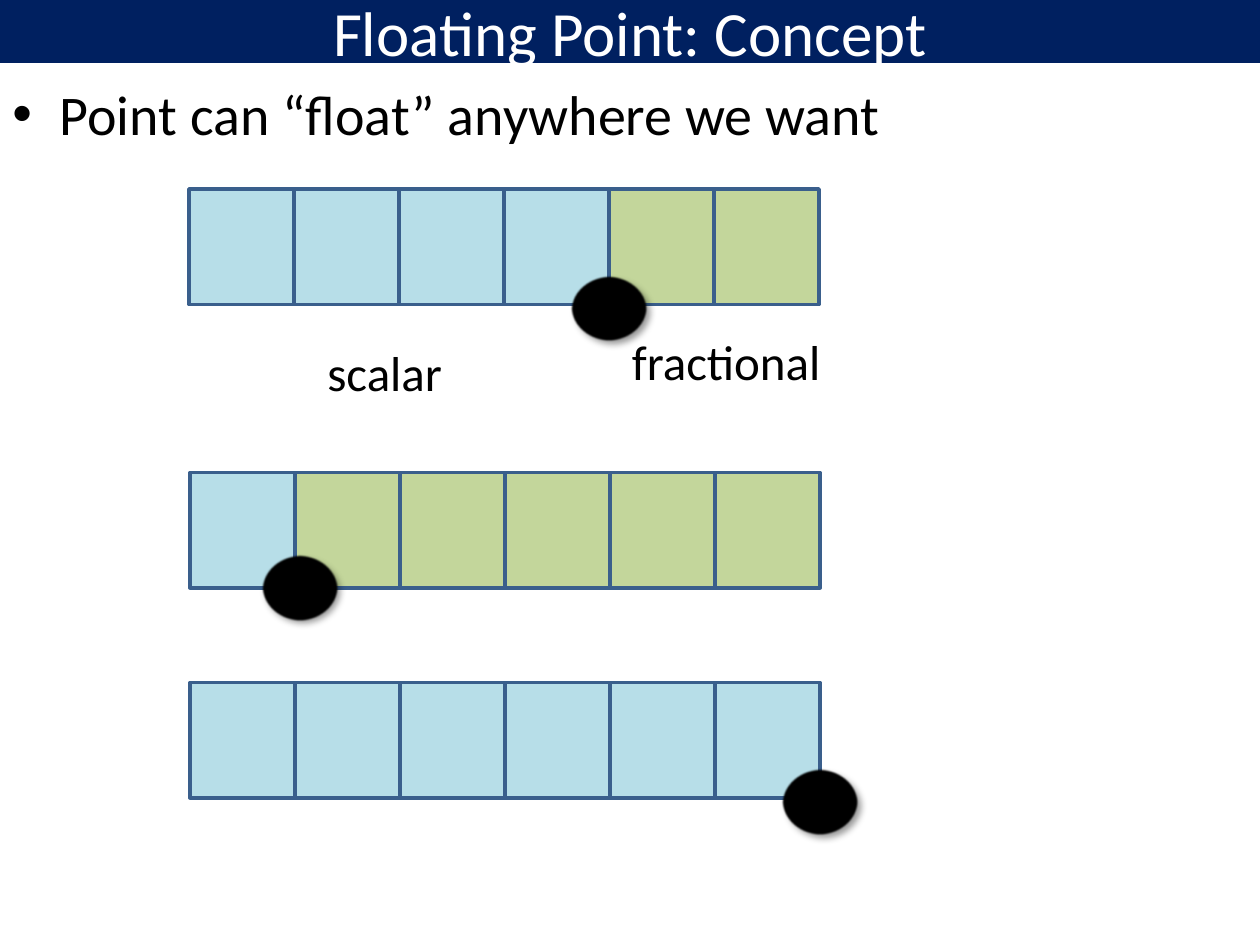
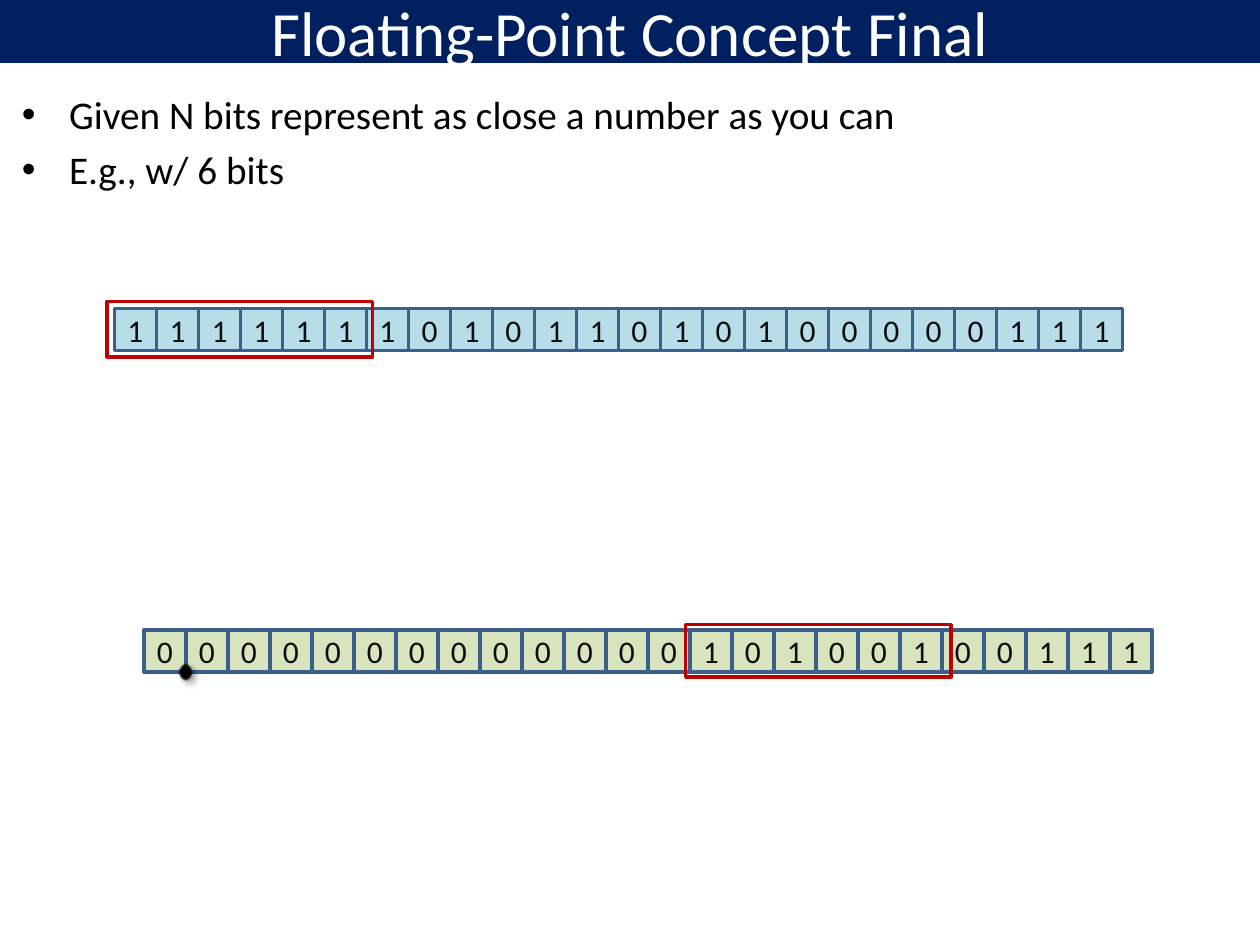
from lxml.etree import SubElement
from pptx import Presentation
from pptx.dml.color import RGBColor
from pptx.enum.shapes import MSO_SHAPE
from pptx.enum.text import MSO_ANCHOR, MSO_AUTO_SIZE, PP_ALIGN
from pptx.oxml import parse_xml
from pptx.oxml.ns import nsdecls, qn
from pptx.util import Inches, Pt

COLS, ROWS = 120, 90  # grid of twelfths of an inch
UNIT = Inches(1 / 12)
FONT = "Calibri"
NAVY, WHITE, BLACK, INK = "002060", "FFFFFF", "000000", "0D0D0D"
EDGE, RED = "3A5F8C", "C00000"
BLUE, GREEN, PALE = "B7DEE8", "C3D69B", "D7E4BD"
BITS = 6  # bits in a word


def color(code):
    return RGBColor.from_string(code)


def grid(*cells):
    return [round(cell * UNIT) for cell in cells]


def write(frame, *lines, size, ink=BLACK, align=PP_ALIGN.LEFT,
          anchor=MSO_ANCHOR.TOP, wrap=True, bullet=False):
    frame.word_wrap = wrap
    frame.vertical_anchor = anchor
    for i, line in enumerate(lines):
        para = frame.add_paragraph() if i else frame.paragraphs[0]
        para.alignment = align
        run = para.add_run()
        run.text = line
        run.font.name, run.font.size = FONT, Pt(size)
        run.font.color.rgb = color(ink)
        if bullet:
            para.space_before = Pt(size / 5)
            props = para._p.get_or_add_pPr()
            indent = Inches(0.375)
            props.set("marL", str(indent))
            props.set("indent", str(-indent))
            SubElement(props, qn("a:buFont"), typeface="Arial")
            SubElement(props, qn("a:buChar"), char="•")


def shape(shapes, box, fill=None, line=None, kind=MSO_SHAPE.RECTANGLE):
    item = shapes.add_shape(kind, *grid(*box))
    item.shadow.inherit = False
    if fill:
        item.fill.solid()
        item.fill.fore_color.rgb = color(fill)
    else:
        item.fill.background()
    if line:
        item.line.color.rgb = color(line)
        item.line.width = Pt(2)
    else:
        item.line.fill.background()
    return item


def label(slide, text, box):
    frame = slide.shapes.add_textbox(*grid(*box)).text_frame
    write(frame, text, size=28, wrap=False)
    frame.auto_size = MSO_AUTO_SIZE.SHAPE_TO_FIT_TEXT


def page(deck, title, points, box, size):
    """Add a slide with its title band and bullet points."""
    slide = deck.slides.add_slide(deck.slide_layouts[6])
    band = shape(slide.shapes, (0, 0, COLS, 6), NAVY)
    write(band.text_frame, title, size=36, ink=WHITE,
          align=PP_ALIGN.CENTER, anchor=MSO_ANCHOR.MIDDLE)
    body = slide.shapes.add_textbox(*grid(*box))
    write(body.text_frame, *points, size=size, bullet=True)
    return slide


def point(slide, x, y, wide=7, high=6):
    """Draw the soft, shadowed binary point centred on x, y."""
    dot = shape(slide.shapes, (x - wide / 2, y - high / 2, wide, high),
                BLACK, BLACK, MSO_SHAPE.OVAL)
    props = dot._element.spPr
    props.remove(props.find(qn("a:effectLst")))
    props.append(parse_xml(
        f'<a:effectLst {nsdecls("a")}>'
        f'<a:outerShdw blurRad="{Pt(4)}" dist="{Pt(3)}" dir="2700000" '
        f'algn="tl" rotWithShape="0"><a:srgbClr val="{BLACK}">'
        '<a:alpha val="40000"/></a:srgbClr></a:outerShdw>'
        f'<a:softEdge rad="{Pt(1)}"/></a:effectLst>'))


def word(slide, left, top, whole):
    """Draw a word whose first bits are whole and the rest fractional."""
    for i in range(BITS):
        shape(slide.shapes, (left + 10 * i, top, 10, 11),
              BLUE if i < whole else GREEN, EDGE)


def strip(slide, digits, left, top, fill):
    """Draw a row of digits, grouped by word."""
    for i, digit in enumerate(digits):
        if i % BITS == 0:
            group = slide.shapes.add_group_shape()
        cell = shape(group.shapes, (left + 4 * i, top, 4, 4), fill, EDGE)
        write(cell.text_frame, digit, size=18, ink=INK,
              align=PP_ALIGN.CENTER, anchor=MSO_ANCHOR.MIDDLE)


def concept(deck):
    slide = page(deck, "Floating Point: Concept",
                 ["Point can “float” anywhere we want"], (0, 7, COLS, 9), 32)
    for left, top, whole, x, y in ((18, 18, 4, 58, 29.4),
                                   (18.1, 45, 1, 28.56, 56),
                                   (18.1, 65, 6, 78.1, 76.4)):
        word(slide, left, top, whole)
        point(slide, x, y)
    label(slide, "scalar", (30, 32, 13.4, 6.9))
    label(slide, "fractional", (59, 31, 20.6, 6.9))


def final(deck):
    slide = page(deck, "Floating-Point Concept Final",
                 ["Given N bits represent as close a number as you can",
                  "E.g., w/ 6 bits"], (0.9, 8, COLS, 10), 22.4)
    strip(slide, "111111101011010100000111", 10.9, 29.4, BLUE)
    shape(slide.shapes, (10.2, 28.7, 25.3, 5.3), line=RED)
    strip(slide, "000000000000010100100111", 13.7, 60, PALE)
    shape(slide.shapes, (65.3, 59.5, 25.3, 5), line=RED)
    point(slide, 17.7, 64, 1.2, 1.5)


def main():
    deck = Presentation()
    deck.slide_width, deck.slide_height = grid(COLS, ROWS)
    concept(deck)
    final(deck)
    deck.save("out.pptx")


if __name__ == "__main__":
    main()
